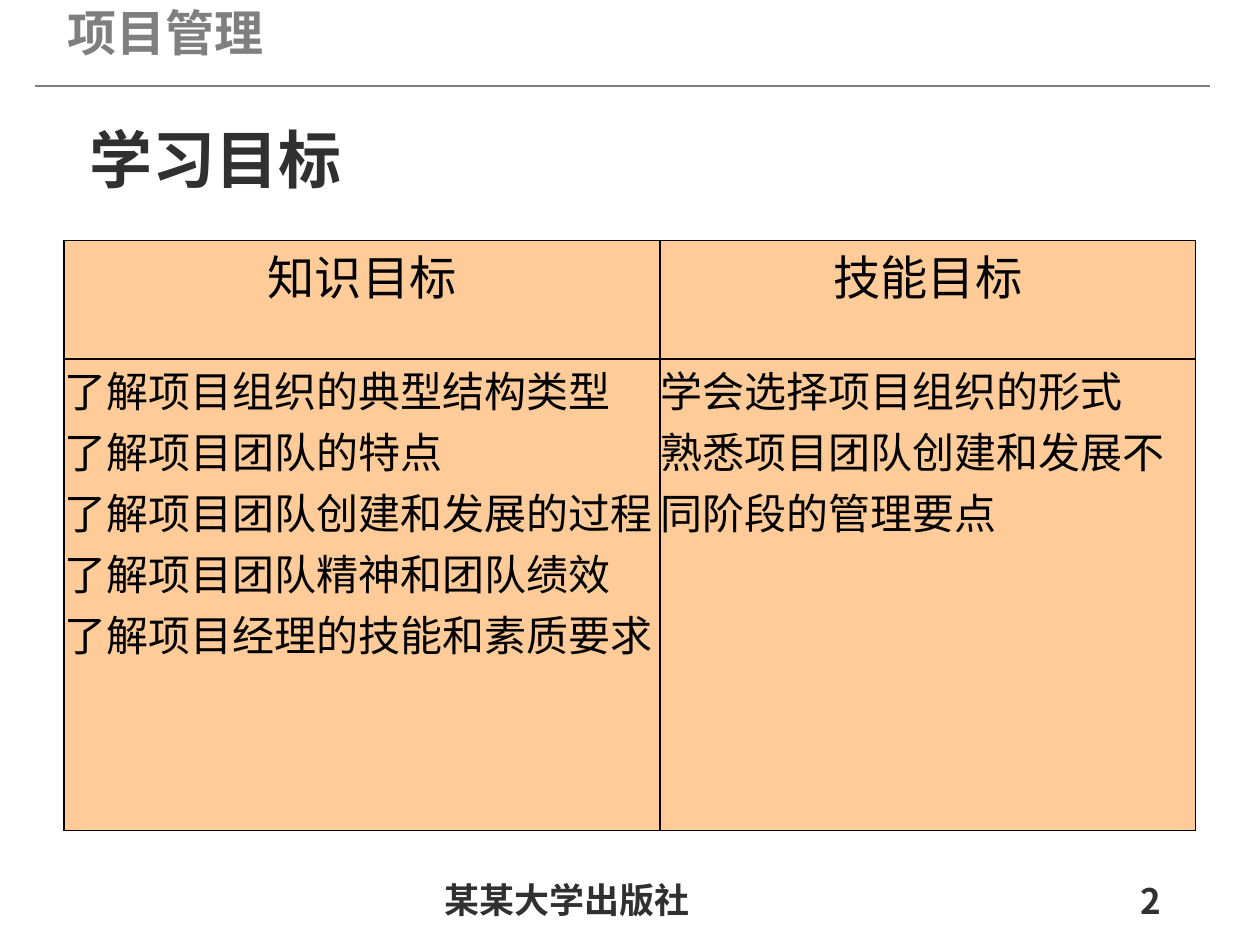
from lxml import etree
from pptx import Presentation
from pptx import util as u
from pptx.dml.color import RGBColor
from pptx.enum import shapes, text
from pptx.oxml.ns import qn

FONT = "Noto Sans CJK SC"
GRAY = RGBColor(0x7F, 0x7F, 0x7F)
DARK = RGBColor(0x30, 0x30, 0x30)
BLACK = RGBColor(0, 0, 0)
PEACH = RGBColor(0xFF, 0xCC, 0x99)
BORDER = RGBColor(0x08, 0, 0)

LEFT, CENTER, RIGHT = (
    text.PP_ALIGN.LEFT, text.PP_ALIGN.CENTER, text.PP_ALIGN.RIGHT)
GOALS = {
    "知识目标": [
        "了解项目组织的典型结构类型",
        "了解项目团队的特点",
        "了解项目团队创建和发展的过程",
        "了解项目团队精神和团队绩效",
        "了解项目经理的技能和素质要求",
    ],
    "技能目标": [
        "学会选择项目组织的形式",
        "熟悉项目团队创建和发展不同阶段的管理要点",
    ],
}


def inches(box):
    return [u.Inches(value) for value in box]


def write_lines(frame, lines, size, color, bold=False, align=LEFT, spacing=None):
    font_format = {"name": FONT, "size": u.Pt(size), "bold": bold}
    for index, line in enumerate(lines):
        paragraph = frame.add_paragraph() if index else frame.paragraphs[0]
        paragraph.alignment = align
        paragraph.line_spacing = spacing
        run = paragraph.add_run()
        run.text = line
        for name, value in font_format.items():
            setattr(run.font, name, value)
        run.font.color.rgb = color
        east_asian = etree.SubElement(run.font._element, qn("a:ea"))
        east_asian.set("typeface", FONT)


def add_label(slide, box, label, size, color=DARK, **paragraph_format):
    frame = slide.shapes.add_textbox(*inches(box)).text_frame
    frame_format = {"word_wrap": True, "margin_top": 0, "margin_bottom": 0,
                    "vertical_anchor": text.MSO_ANCHOR.MIDDLE}
    for name, value in frame_format.items():
        setattr(frame, name, value)
    write_lines(frame, [label], size, color, bold=True, **paragraph_format)


def add_header(slide, left, top, width):
    add_label(slide, (left + 0.16, top, 2.2, 0.57), "项目管理", 28, GRAY)
    rule_top = top + 0.71
    rule = slide.shapes.add_connector(
        shapes.MSO_CONNECTOR.STRAIGHT,
        *inches((left, rule_top, left + width, rule_top)))
    rule.line.color.rgb = GRAY
    rule.line.width = u.Pt(1)
    etree.SubElement(rule._element.spPr, qn("a:effectLst"))


def add_borders(cell):
    """Draw all four sides; the lines must precede the cell's fill in the XML."""
    properties = cell._tc.get_or_add_tcPr()
    for index, side in enumerate(("lnL", "lnR", "lnT", "lnB")):
        line = etree.Element(qn(f"a:{side}"), w=str(u.Pt(1)))
        fill = etree.SubElement(line, qn("a:solidFill"))
        etree.SubElement(fill, qn("a:srgbClr"), val=str(BORDER))
        properties.insert(index, line)


def fill_cell(cell, lines, size, align):
    for side in ("left", "right", "top", "bottom"):
        setattr(cell, f"margin_{side}", 0)
    cell.fill.solid()
    cell.fill.fore_color.rgb = PEACH
    add_borders(cell)
    write_lines(cell.text_frame, lines, size, BLACK, align=align)


def add_goals_table(slide, box):
    table = slide.shapes.add_table(2, len(GOALS), *inches(box)).table
    table.first_row = table.horz_banding = False
    for column, width in zip(table.columns, (4.73, 4.25)):
        column.width = u.Inches(width)
    for row, height in zip(table.rows, (0.94, 3.74)):
        row.height = u.Inches(height)
    for index, (heading, goals) in enumerate(GOALS.items()):
        fill_cell(table.cell(0, index), [heading], 27, CENTER)
        fill_cell(table.cell(1, index), goals, 24, LEFT)


def add_footer(slide, left, top):
    add_label(slide, (left, top, 3.31, 0.48), "某某大学出版社", 20)
    add_label(slide, (left + 3.63, top + 0.05, 2.25, 0.4), "2", 20, align=RIGHT)


def main():
    presentation = Presentation()
    presentation.slide_width = u.Inches(10)
    presentation.slide_height = u.Inches(7.5)
    slide = presentation.slides.add_slide(presentation.slide_layouts[6])
    add_header(slide, 0.28, -0.03, 9.32)
    add_goals_table(slide, (0.51, 1.91, 8.98, 4.68))
    add_label(slide, (0.61, 0.97, 6.98, 0.65), "学习目标", 36, spacing=0.9)
    add_footer(slide, 3.43, 6.9)
    presentation.save("out.pptx")


if __name__ == "__main__":
    main()
